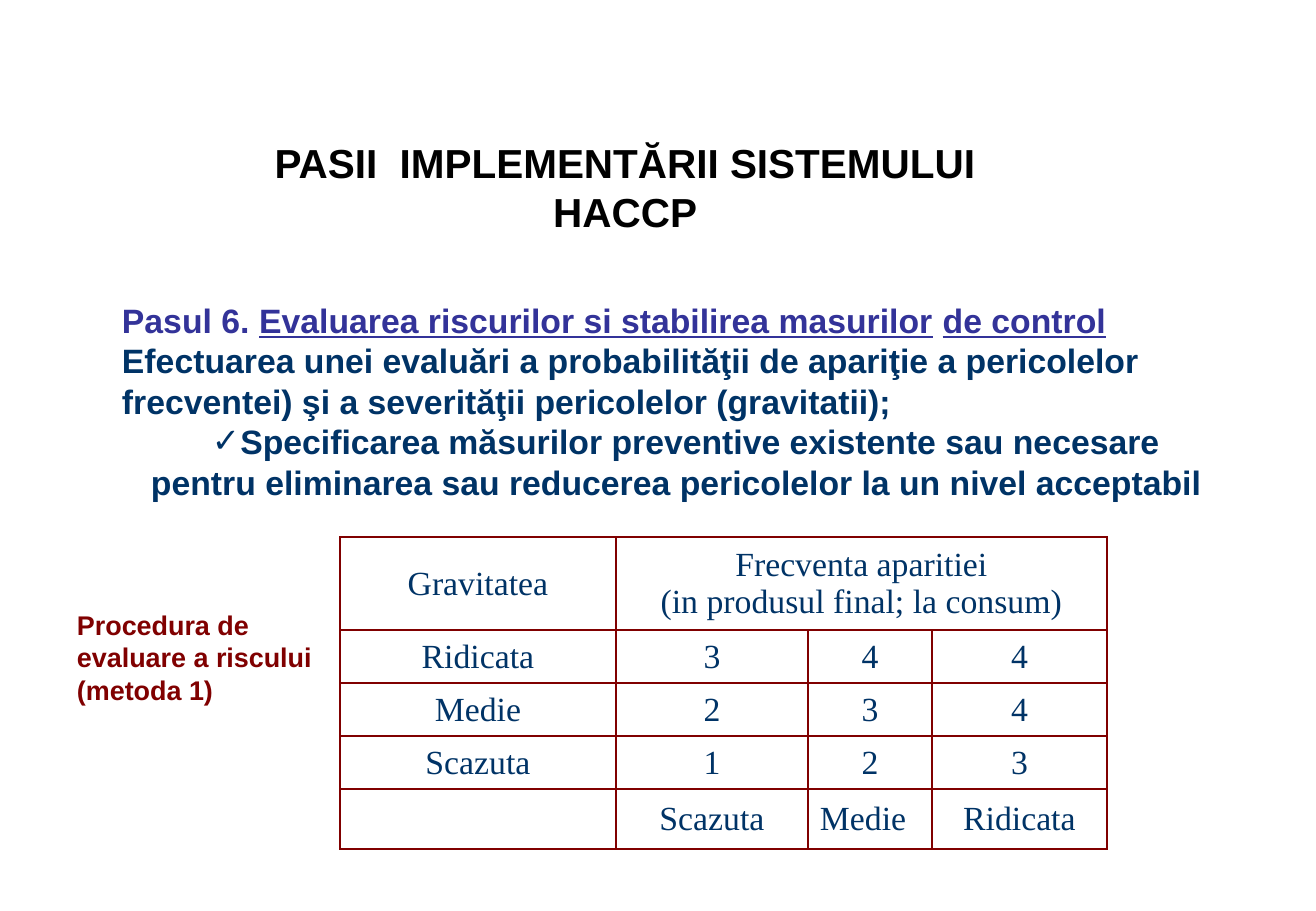
from dataclasses import dataclass
from itertools import product

from lxml.etree import SubElement
from pptx import Presentation
from pptx.dml.color import RGBColor as Rgb
from pptx.enum.text import MSO_ANCHOR as Anchor, PP_ALIGN as Align
from pptx.oxml import parse_xml
from pptx.oxml.ns import nsdecls, qn
from pptx.util import Inches, Pt

PX = 7532


@dataclass(frozen=True)
class Theme:
    """Colours, fonts and type sizes of the slide."""
    black: str = "000000"
    indigo: str = "333399"
    navy: str = "003366"
    maroon: str = "800000"
    sans: str = "Arial"
    serif: str = "Times New Roman"
    title: int = 24
    body: int = 20
    label: int = 16
    border: float = 1.08


THEME = Theme()


def add_run(paragraph, text, size, colour, font=THEME.sans, bold=True, underline=False):
    """Append one styled run to a paragraph."""
    run = paragraph.add_run()
    run.text = text
    run.font.name = font
    run.font.size = Pt(size)
    run.font.bold = bold
    run.font.underline = underline
    run.font.color.rgb = Rgb.from_string(colour)


def add_frame(slide, box, anchor, inset=(12, 6)):
    """Place a wrapping text box and return its text frame."""
    frame = slide.shapes.add_textbox(*(n * PX for n in box)).text_frame
    frame.word_wrap = True
    frame.vertical_anchor = anchor
    frame.margin_left = frame.margin_right = inset[0] * PX
    frame.margin_top = frame.margin_bottom = inset[1] * PX
    return frame


def add_check_bullet(paragraph, margin, indent):
    """Give a paragraph a navy check mark and its indents."""
    props = paragraph._p.get_or_add_pPr()
    props.set("marL", str(margin * PX))
    props.set("indent", str(indent * PX))
    colour = SubElement(props, qn("a:buClr"))
    SubElement(colour, qn("a:srgbClr"), val=THEME.navy)
    SubElement(props, qn("a:buFont"), typeface=THEME.sans)
    SubElement(props, qn("a:buChar"), char="✓")


def add_title(slide, box):
    """Write the two centred title lines."""
    frame = add_frame(slide, box, Anchor.TOP)
    for i, line in enumerate(("PASII  IMPLEMENTĂRII SISTEMULUI", "HACCP")):
        paragraph = frame.add_paragraph() if i else frame.paragraphs[0]
        paragraph.alignment = Align.CENTER
        add_run(paragraph, line, THEME.title, THEME.black)


def add_step(slide, box):
    """Write the step heading, its explanation and the checked point."""
    frame = add_frame(slide, box, Anchor.MIDDLE)
    step = frame.paragraphs[0]
    heading = (
        ("Pasul 6. ", False),
        ("Evaluarea riscurilor si stabilirea masurilor", True),
        (" ", False),
        ("de control", True),
    )
    for text, underline in heading:
        add_run(step, text, THEME.body, THEME.indigo, underline=underline)
    add_run(step, " Efectuarea unei evaluări a probabilităţii de apariţie a pericolelor "
            "frecventei) şi a severităţii pericolelor (gravitatii);", THEME.body, THEME.navy)
    measures = frame.add_paragraph()
    add_check_bullet(measures, 29, 61)
    add_run(measures, "Specificarea măsurilor preventive existente sau necesare pentru "
            "eliminarea sau reducerea pericolelor la un nivel acceptabil",
            THEME.body, THEME.navy)


def add_method_label(slide, box):
    """Write the label beside the risk table."""
    frame = add_frame(slide, box, Anchor.MIDDLE, (0, 0))
    add_run(frame.paragraphs[0], "Procedura de evaluare a riscului (metoda 1)",
            THEME.label, THEME.maroon)


def add_borders(cell):
    """Rule all four sides of a cell."""
    props = cell._tc.get_or_add_tcPr()
    for i, side in enumerate("LRTB"):
        props.insert(i, parse_xml(
            f'<a:ln{side} {nsdecls("a")} w="{Pt(THEME.border)}"><a:solidFill>'
            f'<a:srgbClr val="{THEME.maroon}"/></a:solidFill></a:ln{side}>'))


def add_risk_table(slide, box):
    """Build the severity by frequency table."""
    widths = (276, 192, 124, 175)
    heights = (93, 53, 53, 53, 60)
    rows = (
        ("Gravitatea", "Frecventa aparitiei\n(in produsul final; la consum)", "", ""),
        ("Ridicata", "3", "4", "4"),
        ("Medie", "2", "3", "4"),
        ("Scazuta", "1", "2", "3"),
        ("", "Scazuta", "Medie", "Ridicata"),
    )
    risks = slide.shapes.add_table(len(rows), len(widths), *(n * PX for n in box)).table
    risks.first_row = risks.horz_banding = False
    for column, width in zip(risks.columns, widths):
        column.width = width * PX
    for row, height in zip(risks.rows, heights):
        row.height = height * PX
    risks.cell(0, 1).merge(risks.cell(0, 3))
    for r, c in product(range(len(rows)), range(len(widths))):
        cell = risks.cell(r, c)
        cell.fill.background()
        add_borders(cell)
        cell.vertical_anchor = Anchor.MIDDLE
        cell.margin_left = cell.margin_right = 12 * PX
        cell.margin_top = cell.margin_bottom = 6 * PX
        if not rows[r][c]:
            continue
        for i, line in enumerate(rows[r][c].split("\n")):
            paragraph = cell.text_frame.add_paragraph() if i else cell.text_frame.paragraphs[0]
            paragraph.alignment = Align.LEFT if (r, c) == (4, 2) else Align.CENTER
            add_run(paragraph, line, THEME.body, THEME.navy, THEME.serif, bold=False)


def main():
    """Assemble and save the slide."""
    deck = Presentation()
    deck.slide_width, deck.slide_height = Inches(10.84), Inches(7.5)
    slide = deck.slides.add_slide(deck.slide_layouts[6])
    add_step(slide, (110, 293, 1140, 215))
    add_title(slide, (154, 132, 942, 158))
    add_method_label(slide, (77, 608, 285, 97))
    add_risk_table(slide, (340, 537, 767, 312))
    deck.save("out.pptx")


if __name__ == "__main__":
    main()
